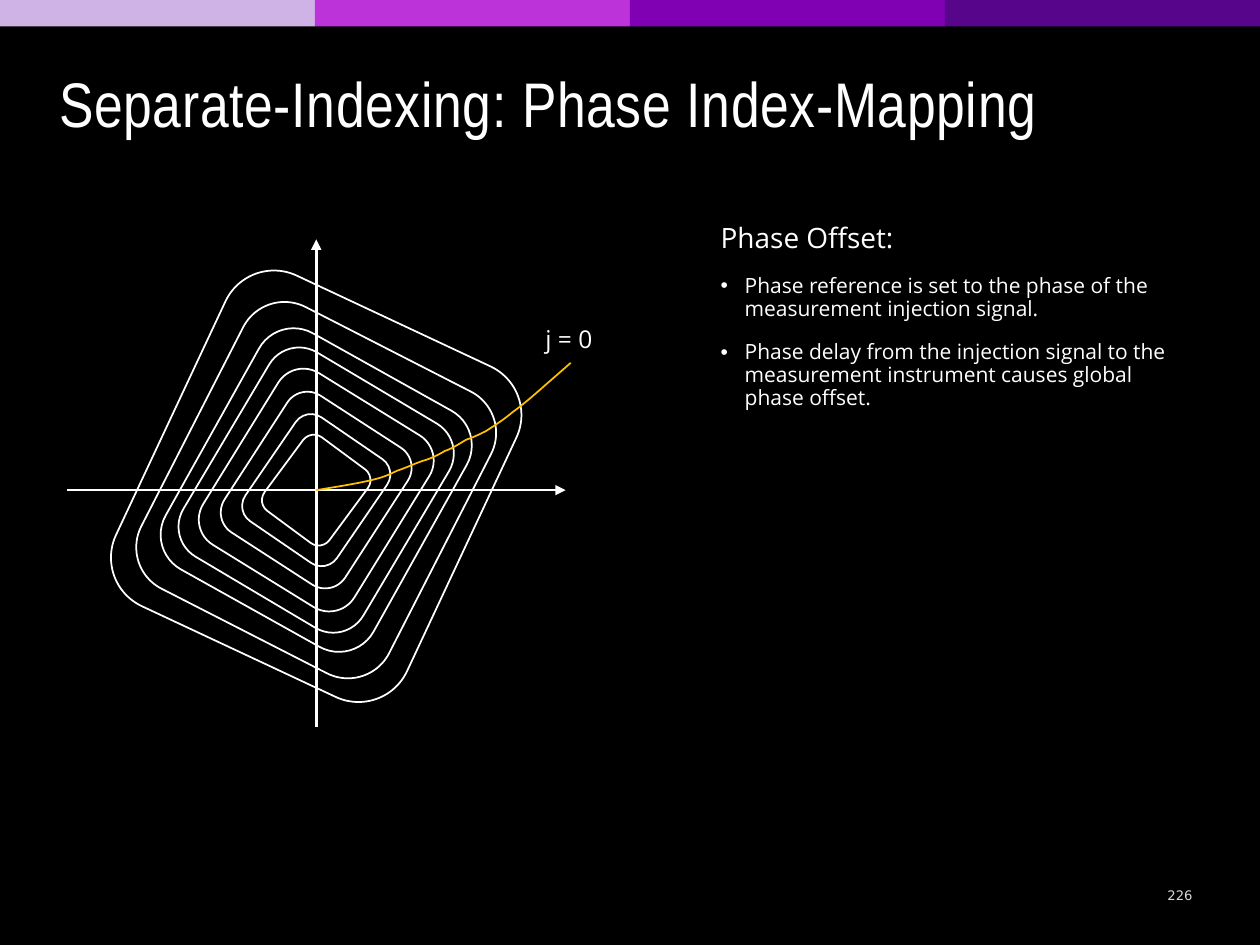
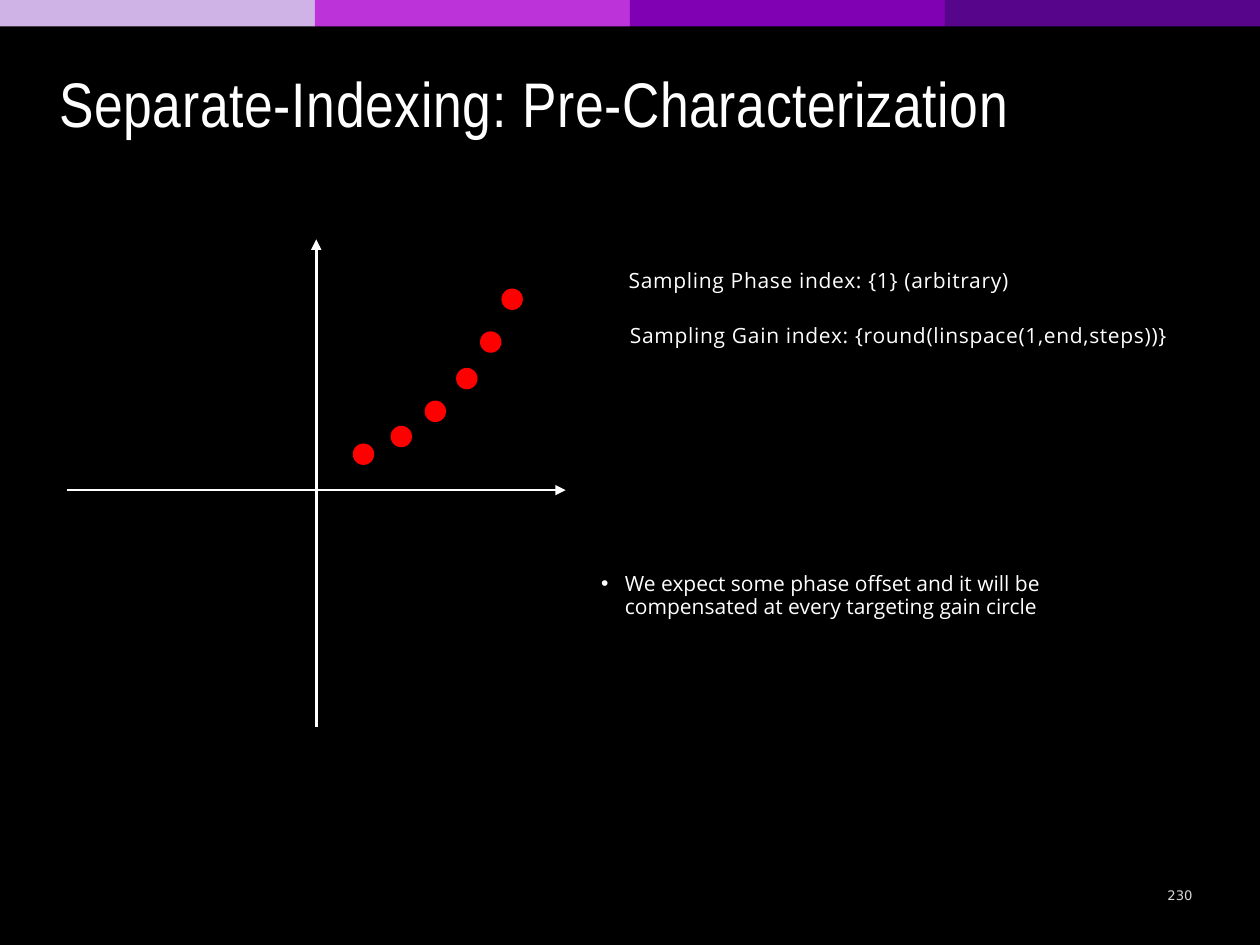
from lxml import etree
from pptx import Presentation
from pptx.dml.color import RGBColor
from pptx.enum.shapes import MSO_CONNECTOR, MSO_SHAPE
from pptx.enum.text import MSO_ANCHOR, MSO_AUTO_SIZE, PP_ALIGN
from pptx.oxml.ns import qn
from pptx.util import Inches, Pt

STRAIGHT = MSO_CONNECTOR.STRAIGHT
RECTANGLE, OVAL, ROUNDED = MSO_SHAPE.RECTANGLE, MSO_SHAPE.OVAL, MSO_SHAPE.ROUNDED_RECTANGLE
TOP, MIDDLE, BOTTOM = MSO_ANCHOR.TOP, MSO_ANCHOR.MIDDLE, MSO_ANCHOR.BOTTOM
LEFT, CENTER = PP_ALIGN.LEFT, PP_ALIGN.CENTER
NO_AUTOFIT = MSO_AUTO_SIZE.NONE

WHITE, BLACK, RED, GOLD, GREY = "FFFFFF", "000000", "FF0000", "FFC000", "D9D9D9"
BAND_COLOURS = ("CFB3E6", "BD33DA", "8000B3", "57058A")
TITLE_FONT, TEXT_FONT, NUMBER_FONT = "Arial Narrow", "Open Sans", "DejaVu Sans"
FLUSH_LEFT = (0, 0.05, 0.1, 0.05)
PADDED = (0.1, 0.05, 0.1, 0.05)
TRACKING = "40"

ORIGIN = (2.51, 3.89)
RING_RATIO = 1.136
RINGS = (
    (2.55, 25.1, 0.03), (2.21, 27.1, 0), (1.89, 29.2, 0), (1.66, 30.7, 0),
    (1.41, 31.7, 0), (1.14, 32.9, 0), (0.88, 34.4, 0), (0.64, 36.5, 0),
)
PHASE_CURVE = (
    ((2.7, 3.86), (2.88, 3.83), (2.99, 3.8)),
    ((3.1, 3.77), (3.11, 3.75), (3.17, 3.73)),
    ((3.23, 3.71), (3.29, 3.68), (3.35, 3.66)),
    ((3.42, 3.64), (3.48, 3.61), (3.53, 3.58)),
    ((3.59, 3.56), (3.65, 3.52), (3.7, 3.49)),
    ((3.76, 3.47), (3.8, 3.45), (3.86, 3.42)),
    ((3.92, 3.38), (4, 3.33), (4.07, 3.27)),
    ((4.14, 3.22), (4.21, 3.16), (4.29, 3.09)),
    ((4.37, 3.02), (4.45, 2.95), (4.53, 2.88)),
)
CURVE_STEPS = 8
SAMPLE_SIZE = 0.17
SAMPLES = ((2.8, 3.52), (3.1, 3.38), (3.37, 3.18), (3.62, 2.92), (3.81, 2.63), (3.98, 2.29))


def rgb(value):
    """Turn a hex string into a colour."""
    return RGBColor.from_string(value)


def lengths(box):
    """Convert a box in inches to slide lengths."""
    return [Inches(value) for value in box]


def style_shape(shape, fill=None, line=None):
    """Give a shape a plain fill and outline without a shadow."""
    shape.shadow.inherit = False
    if fill:
        shape.fill.solid()
        shape.fill.fore_color.rgb = rgb(fill)
    else:
        shape.fill.background()
    if line:
        shape.line.color.rgb = rgb(line)
        shape.line.width = Pt(1)
    else:
        shape.line.fill.background()


def style_para(para, font, size, colour=WHITE, align=LEFT, tracking=None):
    """Set the alignment and the font of a paragraph."""
    para.alignment = align
    para.font.name = font
    para.font.size = Pt(size)
    para.font.color.rgb = rgb(colour)
    if tracking:
        for span in para.runs:
            span._r.get_or_add_rPr().set("spc", tracking)


def set_frame(shape, insets=PADDED, anchor=TOP):
    """Prepare a wrapping text frame and return it."""
    frame = shape.text_frame
    frame.word_wrap = True
    frame.auto_size = NO_AUTOFIT
    frame.vertical_anchor = anchor
    (frame.margin_left, frame.margin_top,
     frame.margin_right, frame.margin_bottom) = lengths(insets)
    return frame


def place(placeholder, box):
    """Move a placeholder to a box."""
    (placeholder.left, placeholder.top,
     placeholder.width, placeholder.height) = lengths(box)


def add_text(page, box, text, font, size, colour=WHITE, align=LEFT,
             insets=PADDED, anchor=TOP, tracking=None):
    """Add a one-paragraph text box."""
    frame = set_frame(page.shapes.add_textbox(*lengths(box)), insets, anchor)
    frame.text = text
    style_para(frame.paragraphs[0], font, size, colour, align, tracking)


def add_page(deck, title, number):
    """Add a page with the colour band, title and page number."""
    page = deck.slides.add_slide(deck.slide_layouts[1])
    width = 10 / len(BAND_COLOURS)
    for index, colour in enumerate(BAND_COLOURS):
        band = page.shapes.add_shape(RECTANGLE, *lengths((index * width, 0, width, 0.21)))
        style_shape(band, fill=colour)
    place(page.shapes.title, (0.47, 0.5, 9.2, 0.66))
    frame = set_frame(page.shapes.title, FLUSH_LEFT, BOTTOM)
    frame.text = title
    style_para(frame.paragraphs[0], TITLE_FONT, 36, tracking=TRACKING)
    add_text(page, (9.14, 6.97, 0.45, 0.27), number, NUMBER_FONT, 7.5, GREY, CENTER, anchor=MIDDLE)
    return page


def set_bullet(para, bulleted):
    """Give a paragraph a hanging bullet or none."""
    properties = para._p.get_or_add_pPr()
    indent = Inches(0.19) if bulleted else 0
    properties.set("marL", str(indent))
    properties.set("indent", str(-indent))
    if bulleted:
        etree.SubElement(properties, qn("a:buChar")).set("char", "•")
    else:
        etree.SubElement(properties, qn("a:buNone"))


def fill_body(page, box, bullets, heading=None):
    """Write an optional heading and a bullet list in the body placeholder."""
    body = page.placeholders[1]
    place(body, box)
    frame = set_frame(body)
    frame.text = "\n".join(([heading] if heading else []) + bullets)
    for index, para in enumerate(frame.paragraphs):
        is_heading = bool(heading) and index == 0
        set_bullet(para, not is_heading)
        para.line_spacing = 0.9
        para.space_before = Pt(12 if index else 0)
        style_para(para, TEXT_FONT, 16 if is_heading else 12)


def add_axis(page, start, end):
    """Draw an axis with an arrowhead at its end."""
    axis = page.shapes.add_connector(STRAIGHT, *lengths(start + end))
    axis.line.color.rgb = rgb(WHITE)
    axis.line.width = Pt(1.5)
    etree.SubElement(axis.line._get_or_add_ln(), qn("a:tailEnd")).set("type", "triangle")
    etree.SubElement(axis._element.spPr, qn("a:effectLst"))


def add_axes(page, origin):
    """Draw the two axes that cross at the origin."""
    x, y = origin
    add_axis(page, (x - 1.98, y), (x + 1.98, y))
    add_axis(page, (x, y + 1.88), (x, y - 1.99))


def add_gain_rings(page, origin):
    """Draw the nested, rotated gain rings around the origin."""
    x, y = origin
    for width, rotation, lift in RINGS:
        height = width * RING_RATIO
        box = (x - width / 2, y - lift - height / 2, width, height)
        ring = page.shapes.add_shape(ROUNDED, *lengths(box))
        ring.rotation = rotation
        style_shape(ring, line=WHITE)


def bezier_point(knots, t):
    """Return the point at t on a cubic curve."""
    weights = ((1 - t) ** 3, 3 * t * (1 - t) ** 2, 3 * t ** 2 * (1 - t), t ** 3)
    return tuple(Inches(sum(w * knot[axis] for w, knot in zip(weights, knots))) for axis in (0, 1))


def add_phase_curve(page, origin):
    """Draw the constant-phase curve that leaves the origin."""
    builder = page.shapes.build_freeform(*lengths(origin))
    start, points = origin, []
    for segment in PHASE_CURVE:
        knots = (start,) + segment
        points += [bezier_point(knots, step / CURVE_STEPS) for step in range(1, CURVE_STEPS + 1)]
        start = segment[-1]
    builder.add_line_segments(points, close=False)
    style_shape(builder.convert_to_shape(), line=GOLD)


def add_samples(page):
    """Draw the sampled points."""
    for left, top in SAMPLES:
        dot = page.shapes.add_shape(OVAL, *lengths((left, top, SAMPLE_SIZE, SAMPLE_SIZE)))
        style_shape(dot, fill=RED)


def build_index_mapping(deck):
    """Build the page on phase index-mapping."""
    page = add_page(deck, "Separate-Indexing: Phase Index-Mapping", "226")
    add_axes(page, ORIGIN)
    add_gain_rings(page, ORIGIN)
    add_phase_curve(page, ORIGIN)
    add_text(page, (4.23, 2.52, 0.86, 0.34), "j = 0", TEXT_FONT, 14)
    fill_body(page, (5.62, 1.73, 3.91, 1.72), [
        "Phase reference is set to the phase of the measurement injection signal.",
        "Phase delay from the injection signal to the measurement instrument "
        "causes global phase offset.",
    ], heading="Phase Offset:")


def build_pre_characterization(deck):
    """Build the page on pre-characterization."""
    page = add_page(deck, "Separate-Indexing: Pre-Characterization", "230")
    add_axes(page, ORIGIN)
    add_samples(page)
    fill_body(page, (4.67, 4.5, 4.77, 0.5), [
        "We expect some phase offset and it will be compensated at every targeting gain circle",
    ])
    for box, text in (
        ((4.99, 1.71, 3.93, 0.66), "Sampling Phase index: {1} (arbitrary)"),
        ((5, 2.48, 4.9, 0.33), "Sampling Gain index: {round(linspace(1,end,steps))}"),
    ):
        add_text(page, box, text, TEXT_FONT, 12, insets=FLUSH_LEFT, anchor=BOTTOM,
                 tracking=TRACKING)


def main():
    """Build and save the deck."""
    deck = Presentation()
    deck.slide_width, deck.slide_height = Inches(10), Inches(7.5)
    background = deck.slide_master.background.fill
    background.solid()
    background.fore_color.rgb = rgb(BLACK)
    build_index_mapping(deck)
    build_pre_characterization(deck)
    deck.save("out.pptx")


if __name__ == "__main__":
    main()
